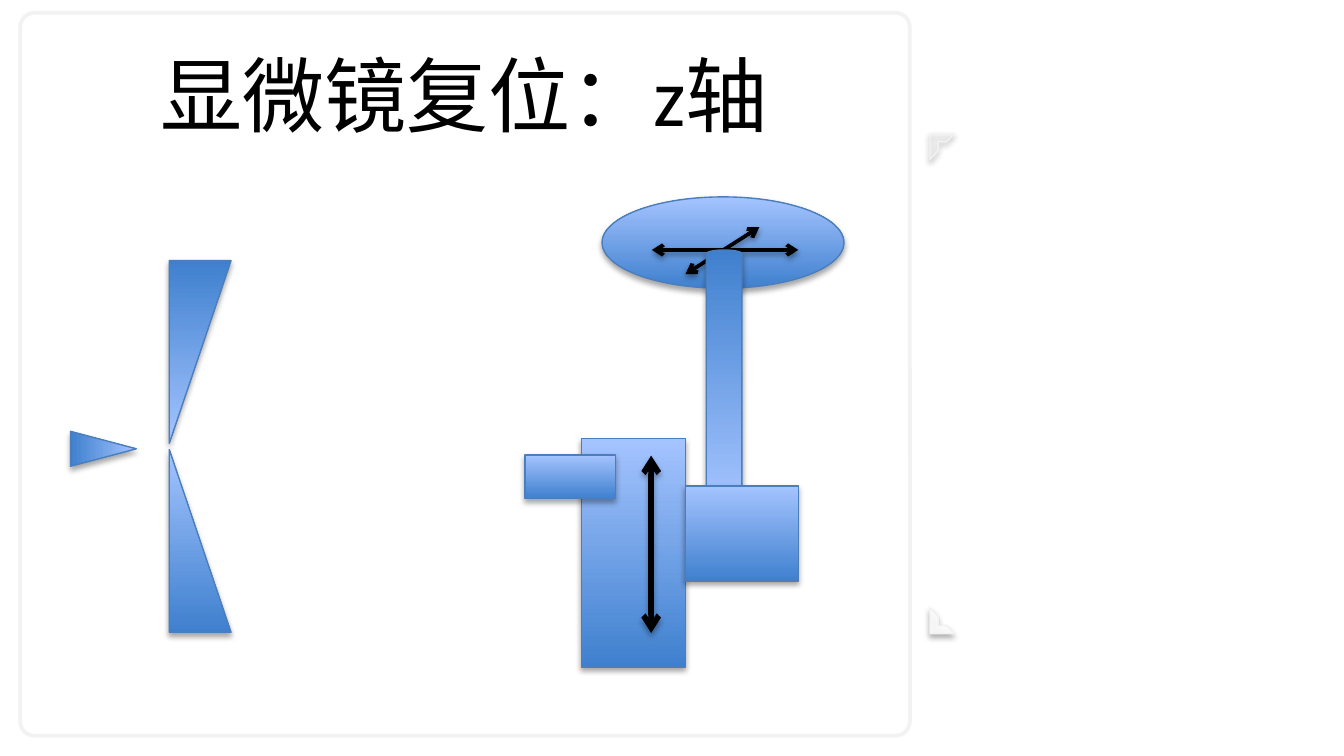
from lxml import etree
from pptx import Presentation, util as u
from pptx.dml.color import RGBColor
from pptx.enum import shapes, text
from pptx.oxml.ns import qn

PX = 4572
COLORS = {"dark": "3F80CE", "light": "A4C4FF", "edge": "4B7EBC",
          "black": "000000", "white": "FFFFFF", "frame": "F2F2F2"}
RGB = {name: RGBColor.from_string(value) for name, value in COLORS.items()}
KIND = shapes.MSO_SHAPE


def add_shadow(effects, alpha=35, dist=1.8):
    shadow = etree.SubElement(effects, qn("a:outerShdw"), blurRad=str(u.Pt(3.1)),
                              dist=str(u.Pt(dist)), dir="5400000", rotWithShape="0")
    color = etree.SubElement(shadow, qn("a:srgbClr"), val=COLORS["black"])
    etree.SubElement(color, qn("a:alpha"), val=str(alpha * 1000))


def add_box(parent, kind, bounds, line, width, flip=False):
    box = parent.shapes.add_shape(kind, *[value * PX for value in bounds])
    box.shadow.inherit = False
    box.line.color.rgb = RGB[line]
    box.line.width = u.Pt(width)
    if flip:
        box._element.spPr.find(qn("a:xfrm")).set("flipV", "1")
    return box


deck = Presentation()
deck.slide_width = 2000 * PX
deck.slide_height = 1125 * PX
page = deck.slides.add_slide(deck.slide_layouts[5])

panel = add_box(page, KIND.ROUNDED_RECTANGLE, (30, 19, 1324, 1076), "frame", 2)
panel.adjustments[0] = 0.02
panel.fill.solid()
panel.fill.fore_color.rgb = RGB["white"]

for top, flip, alpha in [(905, True, 88), (199, False, 23)]:
    corner = add_box(page, KIND.HALF_FRAME, (1384, top, 36, 38), "frame", 0.75, flip)
    corner.fill.solid()
    corner.fill.fore_color.rgb = RGB["white"]
    color = corner._element.spPr.find(qn("a:solidFill"))[0]
    etree.SubElement(color, qn("a:alpha"), val=str(alpha * 1000))
    add_shadow(corner._element.spPr.find(qn("a:effectLst")))

title = page.shapes.title
page.shapes._spTree.append(title._element)
title.left, title.top, title.width, title.height = [v * PX for v in (64, 46, 1253, 188)]
title.text_frame.word_wrap = True
title.text_frame.vertical_anchor = text.MSO_ANCHOR.MIDDLE
para = title.text_frame.paragraphs[0]
para.alignment = text.PP_ALIGN.CENTER
span = para.add_run()
span.text = "显微镜复位：z轴"
span.font.size = u.Pt(44)
span.font.name = "Calibri"
span.font.color.rgb = RGB["black"]

aperture = page.shapes.add_group_shape()
microscope = page.shapes.add_group_shape()

parts = [
    (aperture, KIND.RIGHT_TRIANGLE, (252, 669, 92, 272), 0, False),
    (aperture, KIND.RIGHT_TRIANGLE, (252, 388, 92, 272), 0, True),
    (aperture, KIND.ISOSCELES_TRIANGLE, (128, 619, 52, 98), 90, False),
    (microscope, KIND.OVAL, (896, 293, 360, 136), 0, False),
    (microscope, KIND.RECTANGLE, (865, 653, 155, 340), 0, False),
    (microscope, KIND.RECTANGLE, (781, 677, 135, 65), 0, False),
    (microscope, KIND.CAN, (1051, 372, 53, 378), 180, False),
    (microscope, KIND.RECTANGLE, (1020, 723, 168, 142), 0, False),
]
arrows = [
    ((969, 678, 969, 942), 3, 35, 1.8),
    ((970, 372, 1188, 372), 2, 38, 1.6),
    ((1130, 338, 1020, 408), 2, 38, 1.6),
]

for group, kind, bounds, rotation, flip in parts:
    if kind == KIND.CAN:
        for ends, width, alpha, dist in arrows:
            arrow = microscope.shapes.add_connector(
                shapes.MSO_CONNECTOR.STRAIGHT, *[value * PX for value in ends])
            arrow.line.color.rgb = RGB["black"]
            arrow.line.width = u.Pt(width)
            stroke = arrow.line._get_or_add_ln()
            for end in ("a:headEnd", "a:tailEnd"):
                etree.SubElement(stroke, qn(end), type="arrow")
            add_shadow(etree.SubElement(arrow._element.spPr, qn("a:effectLst")), alpha, dist)
    part = add_box(group, kind, bounds, "edge", 0.75, flip)
    part.rotation = rotation
    if kind == KIND.CAN:
        part.adjustments[0] = 0.21
    part.fill.gradient()
    part.fill.gradient_angle = 90
    for stop, name in zip(part.fill.gradient_stops, ("dark", "light")):
        stop.color.rgb = RGB[name]
    add_shadow(part._element.spPr.find(qn("a:effectLst")))

deck.save("out.pptx")
